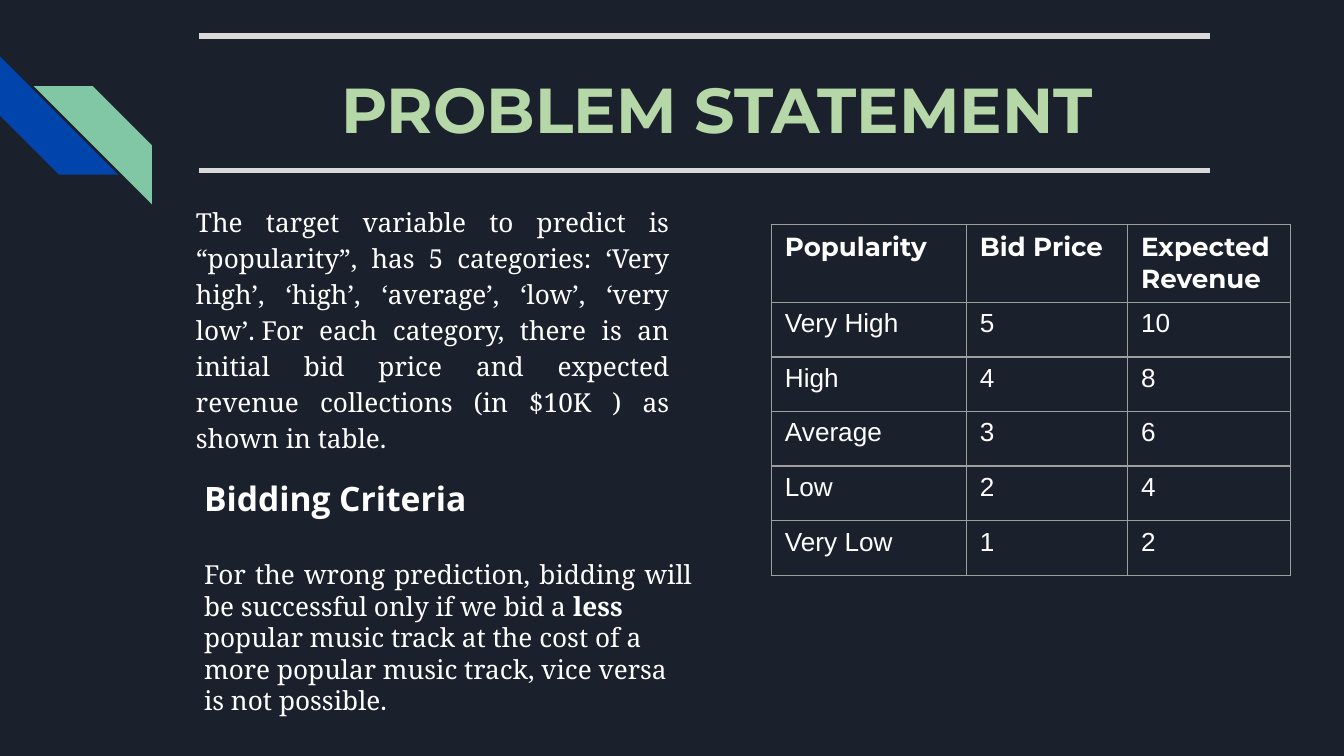
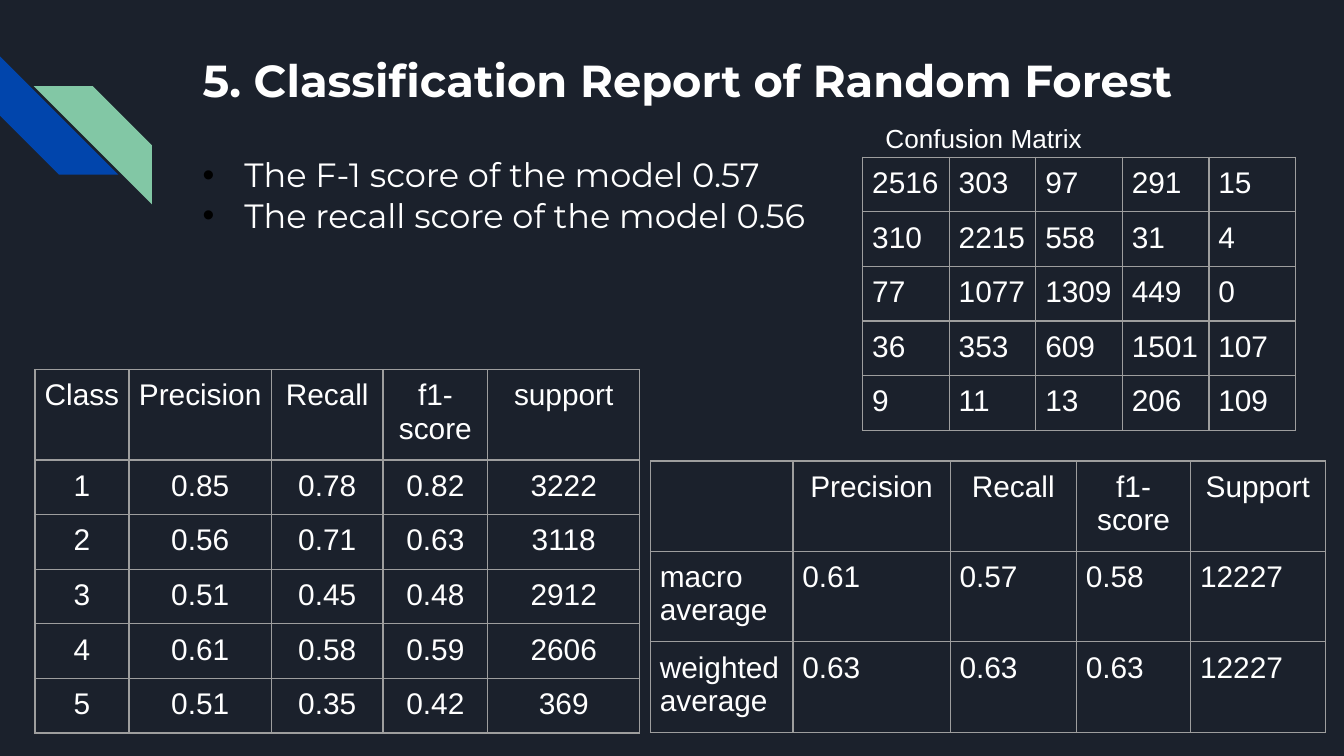
"""Builds two dark slides on bid prices and on a classification report."""
import pptx
import pptx.util
import pptx.dml.color
import pptx.enum.shapes
import pptx.enum.text
import pptx.oxml
import pptx.oxml.ns

Inches = pptx.util.Inches
Pt = pptx.util.Pt
Align = pptx.enum.text.PP_ALIGN
NS = pptx.oxml.ns.nsdecls("a")
HEX = {"back": "1B212C", "blue": "0145AC", "mint": "82C7A5", "title": "B6D7A8",
       "rule": "D9D9D9", "grid": "9E9E9E", "text": "FFFFFF", "dot": "000000"}
FIVE = [2.03 / 5] * 5


def color(name):
    return pptx.dml.color.RGBColor.from_string(HEX[name])


def add_run(para, text, size, font, bold=False, tone="text"):
    run = para.add_run()
    run.text = text
    run.font.size = Pt(size)
    run.font.name = font
    run.font.bold = bold
    run.font.color.rgb = color(tone)


def add_text(slide, box, pad=0.05):
    frame = slide.shapes.add_textbox(*map(Inches, box)).text_frame
    frame.word_wrap = True
    frame.margin_left = frame.margin_right = Inches(0.1)
    frame.margin_top = frame.margin_bottom = Inches(pad)
    return frame


def add_title(slide, box, text, size, tone="text", align=Align.LEFT):
    para = add_text(slide, box, 0.1).paragraphs[0]
    para.alignment = align
    add_run(para, text, size, "Montserrat", True, tone)


def add_bullet(para, indent):
    props = para._p.get_or_add_pPr()
    props.set("marL", str(Inches(indent)))
    props.set("indent", str(-Inches(indent)))
    for part in (f'<a:buClr {NS}><a:srgbClr val="{HEX["dot"]}"/></a:buClr>',
                 f'<a:buFont {NS} typeface="Arial"/>',
                 f'<a:buChar {NS} char="•"/>'):
        props.append(pptx.oxml.parse_xml(part))


def add_rule(slide, top):
    kind = pptx.enum.shapes.MSO_CONNECTOR.STRAIGHT
    rule = slide.shapes.add_connector(
        kind, Inches(1.48), Inches(top), Inches(9), Inches(top))
    rule.line.color.rgb = color("rule")
    rule.line.width = Pt(3)
    rule._element.spPr.append(pptx.oxml.parse_xml(f"<a:effectLst {NS}/>"))


def add_stripe(slide, left, top, tone):
    kind = pptx.enum.shapes.MSO_SHAPE.DIAGONAL_STRIPE
    shape = slide.shapes.add_shape(
        kind, Inches(left), Inches(top), Inches(0.88), Inches(0.88))
    shape.shadow.inherit = False
    shape.fill.solid()
    shape.fill.fore_color.rgb = color(tone)
    shape.line.fill.background()
    return shape


def add_slide(deck):
    slide = deck.slides.add_slide(deck.slide_layouts[6])
    slide.background.fill.solid()
    slide.background.fill.fore_color.rgb = color("back")
    add_stripe(slide, 0, 0.42, "blue").rotation = 270
    mint = add_stripe(slide, 0.25, 0.64, "mint")
    mint._element.spPr.find(pptx.oxml.ns.qn("a:xfrm")).set("flipH", "1")
    return slide


def add_edges(cell):
    props = cell._tc.get_or_add_tcPr()
    for spot, side in enumerate("LRTB"):
        props.insert(spot, pptx.oxml.parse_xml(
            f'<a:ln{side} {NS} w="{Pt(0.75)}"><a:solidFill>'
            f'<a:srgbClr val="{HEX["grid"]}"/></a:solidFill></a:ln{side}>'))


def add_grid(slide, left, top, cols, rows, data, size=16, pad=(0.07, 0.07),
             mid=0, head=False):
    """Draw a table whose first mid rows are centred."""
    table = slide.shapes.add_table(
        len(rows), len(cols), Inches(left), Inches(top),
        Inches(sum(cols)), Inches(sum(rows))).table
    table.first_row = table.horz_banding = False
    for col, width in zip(table.columns, cols):
        col.width = Inches(width)
    for row, height in zip(table.rows, rows):
        row.height = Inches(height)
    for r, line in enumerate(data):
        for c, text in enumerate(line):
            cell = table.cell(r, c)
            cell.margin_left = cell.margin_right = Inches(pad[0])
            cell.margin_top = cell.margin_bottom = Inches(pad[1])
            cell.fill.background()
            add_edges(cell)
            para = cell.text_frame.paragraphs[0]
            para.alignment = Align.CENTER if r < mid else Align.LEFT
            bold = head and r == 0
            if text:
                add_run(para, text, size, "Montserrat" if bold else "Arial", bold)


def add_problem(deck):
    slide = add_slide(deck)
    add_title(slide, (1.01, 0.42, 8.65, 0.98), "PROBLEM STATEMENT", 34,
              "title", Align.CENTER)
    para = add_text(slide, (1.36, 1.4, 3.72, 2.02), 0.1).paragraphs[0]
    para.alignment = Align.JUSTIFY
    para.line_spacing = 1.15
    add_run(para, "The target variable to predict is “popularity”, has 5 "
            "categories: ‘Very high’, ‘high’, ‘average’, ‘low’, ‘very low’."
            "\u00a0For each category, there is an initial bid price and expected "
            "revenue collections (in $10K ) as shown in table.", 14, "Noto Serif")
    for top in (0.27, 1.27):
        add_rule(slide, top)
    data = [("Popularity", "Bid Price", "Expected Revenue")]
    names = ("Very High", "High", "Average", "Low", "Very Low")
    for bid, name in zip(range(5, 0, -1), names):
        data.append((name, str(bid), str(2 * bid)))
    add_grid(slide, 5.74, 1.67, (1.45, 1.2, 1.21), [0.58] + FIVE, data,
             14, (0.1, 0.05), head=True)

    frame = add_text(slide, (1.42, 3.51, 3.83, 1.88))
    add_run(frame.paragraphs[0], "Bidding Criteria", 18, "Open Sans", True)
    para = frame.add_paragraph()
    para.alignment = Align.JUSTIFY
    para.space_before = Pt(21.5)
    add_run(para, "For the wrong prediction, bidding will be successful only "
            "if we bid a", 14, "Noto Serif")
    add_run(para, " less", 14, "Noto Serif", True)
    add_run(frame.add_paragraph(), "popular music track at the cost of a more "
            "popular music track, vice versa is not possible.", 14, "Noto Serif")


def add_report(deck):
    slide = add_slide(deck)
    add_title(slide, (1.41, 0.29, 7.7, 1),
              "5. Classification Report of Random Forest", 24)
    frame = add_text(slide, (1.41, 1.1, 4.99, 0.94))
    lines = ("The F-1 score of the model 0.57", "The recall score of the model 0.56")
    for spot, line in enumerate(lines):
        para = frame.add_paragraph() if spot else frame.paragraphs[0]
        add_bullet(para, 0.31)
        add_run(para, line, 18, "Montserrat")

    scores = [("Class", "Precision", "Recall", "f1-score", "support"),
              ("1", "0.85", "0.78", "0.82", "3222"),
              ("2", "0.56", "0.71", "0.63", "3118"),
              ("3", "0.51", "0.45", "0.48", "2912"),
              ("4", "0.61", "0.58", "0.59", "2606"),
              ("5", "0.51", "0.35", "0.42", "369")]
    add_grid(slide, 0.26, 2.75, (0.7, 1.06, 0.83, 0.78, 1.13),
             [0.67] + FIVE, scores, mid=6)
    means = [("", "Precision", "Recall", "f1-score", "Support"),
             ("macro average", "0.61", "0.57", "0.58", "12227"),
             ("weighted average", "0.63", "0.63", "0.63", "12227")]
    add_grid(slide, 4.84, 3.43, (1.06, 1.17, 0.94, 0.85, 1), [0.67] * 3,
             means, mid=1)
    counts = [(2516, 303, 97, 291, 15), (310, 2215, 558, 31, 4),
              (77, 1077, 1309, 449, 0), (36, 353, 609, 1501, 107),
              (9, 11, 13, 206, 109)]
    add_grid(slide, 6.42, 1.17, [3.22 / 5] * 5, FIVE,
             [[str(n) for n in line] for line in counts])
    label = add_text(slide, (6.49, 0.86, 3, 0.34))
    add_run(label.paragraphs[0], "Confusion Matrix", 14, "Arial")


def main():
    deck = pptx.Presentation()
    deck.slide_width = Inches(10)
    deck.slide_height = Inches(10 * 9 / 16)
    add_problem(deck)
    add_report(deck)
    deck.save("out.pptx")


main()
